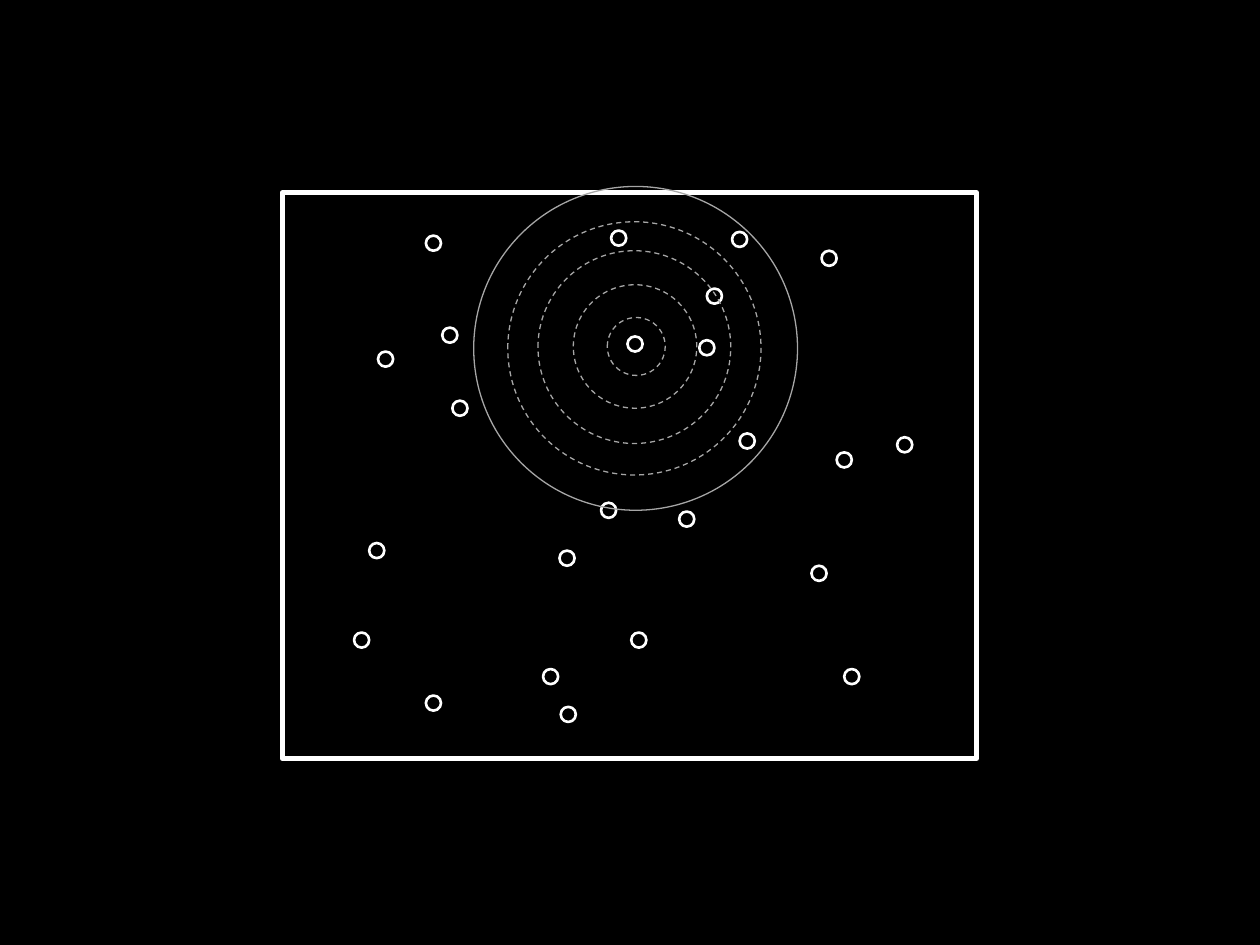
from typing import Any, Dict, NamedTuple, Optional

from pptx import Presentation
from pptx import util as u
from pptx.dml.color import RGBColor
from pptx.enum import dml, shapes

WHITE, GREY, BLACK = "FFFFFF", "A6A6A6", "000000"
OVAL = shapes.MSO_SHAPE.OVAL
DASH = dml.MSO_LINE.DASH
POINT_SIZE = 0.12


class Ring(NamedTuple):
    left: float
    top: float
    diameter: float
    dash: Optional[dml.MSO_LINE] = DASH


POINTS = [
    (4.45, 5.61), (4.85, 1.83), (3.38, 1.87), (7.12, 3.47), (4.31, 5.31),
    (6.52, 1.99), (3.59, 3.18), (4.44, 4.37), (5.55, 2.7), (2.93, 4.31),
    (3.51, 2.6), (2.81, 5.02), (5.39, 4.06), (5.81, 1.84), (4.98, 2.67),
    (3, 2.79), (5.61, 2.29), (6.64, 3.59), (6.7, 5.31), (5.01, 5.02),
    (3.38, 5.52), (4.77, 3.99), (6.44, 4.49), (5.87, 3.44),
]
RINGS = [
    Ring(3.76, 1.48, 2.57, None),
    Ring(4.03, 1.76, 2.01),
    Ring(4.27, 1.99, 1.53),
    Ring(4.55, 2.26, 0.98),
    Ring(4.82, 2.52, 0.46),
]


def color(value: str) -> RGBColor:
    return RGBColor.from_string(value)


def add_outline(container, kind: shapes.MSO_SHAPE, left: float, top: float,
                width: float, height: float, line_color: str,
                line_format: Dict[str, Any]) -> None:
    """Add an unfilled shape to a shape collection; sizes are in inches."""
    box = [u.Inches(value) for value in (left, top, width, height)]
    shape = container.add_shape(kind, *box)
    shape.shadow.inherit = False
    shape.fill.background()
    shape.line.color.rgb = color(line_color)
    for name, value in line_format.items():
        setattr(shape.line, name, value)


def main() -> None:
    presentation = Presentation()
    presentation.slide_width = u.Inches(10)
    presentation.slide_height = u.Inches(7.5)
    slide = presentation.slides.add_slide(presentation.slide_layouts[6])
    slide.background.fill.solid()
    slide.background.fill.fore_color.rgb = color(BLACK)

    add_outline(slide.shapes, shapes.MSO_SHAPE.RECTANGLE, 2.24, 1.53, 5.51, 4.49,
                WHITE, {"width": u.Pt(3)})
    for left, top in POINTS:
        add_outline(slide.shapes, OVAL, left, top, POINT_SIZE, POINT_SIZE,
                    WHITE, {"width": u.Pt(1.5)})

    ring_group = slide.shapes.add_group_shape()
    for ring in RINGS:
        add_outline(ring_group.shapes, OVAL, ring.left, ring.top,
                    ring.diameter, ring.diameter, GREY,
                    {"width": u.Pt(0.75), "dash_style": ring.dash})

    presentation.save("out.pptx")


if __name__ == "__main__":
    main()
